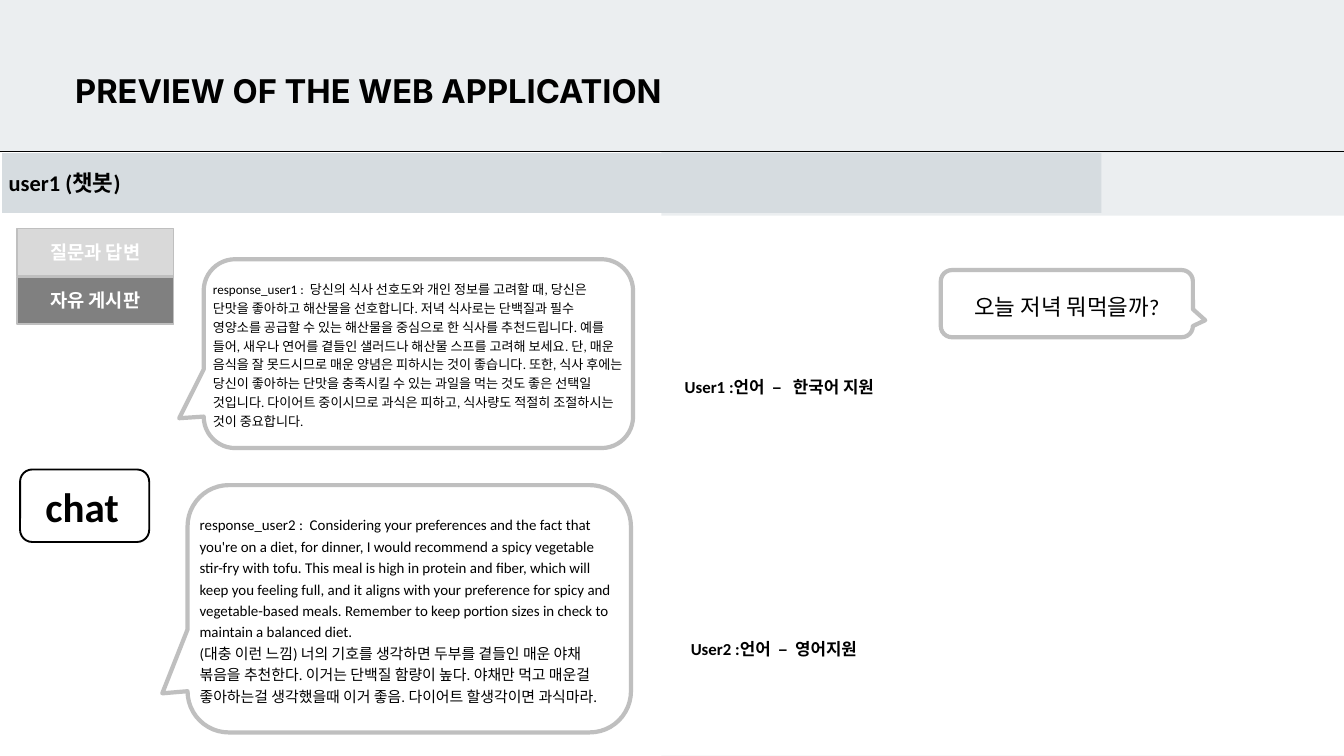
"""Builds the slide that previews the chatbot web application."""
from pptx import Presentation
from pptx.dml.color import RGBColor
from pptx.enum.shapes import MSO_CONNECTOR, MSO_SHAPE
from pptx.enum.text import MSO_ANCHOR, MSO_AUTO_SIZE, PP_ALIGN
from pptx.oxml.ns import qn
from pptx.util import Cm, Pt

BLACK = RGBColor(0x00, 0x00, 0x00)
WHITE = RGBColor(0xFF, 0xFF, 0xFF)
BACKGROUND = RGBColor(0xEB, 0xEE, 0xF0)
BAR = RGBColor(0xD6, 0xDC, 0xE0)
BORDER = RGBColor(0xBF, 0xBF, 0xBF)
LIGHT_GRAY = RGBColor(0xD9, 0xD9, 0xD9)
DARK_GRAY = RGBColor(0x80, 0x80, 0x80)

WIDTH, HEIGHT, HEADER_HEIGHT = 50.8, 28.58, 5.72
TITLE = "PREVIEW OF THE WEB APPLICATION"
TITLE_BOX = (2.84, 2.69, 24.87, 1.5)
PANELS = [(0, HEADER_HEIGHT, 25, 22.86), (7.19, 8.15, 43.61, 20.42)]
USER_BAR = ("user1 (챗봇)", (0.08, 5.79, 41.55, 2.26))
MENU_LEFT, MENU_TOP, MENU_WIDTH, MENU_HEIGHT, MENU_STEP = 0.64, 8.64, 5.92, 1.8, 1.82
MENU = [("질문과 답변", LIGHT_GRAY), ("자유 게시판", DARK_GRAY)]
CHAT_FRAME = (0.76, 17.75, 4.88, 2.74)

CALLOUTS = [
    (["오늘 저녁 뭐먹을까?"], (35.56, 10.21, 9.53, 2.54), (0.549, 0.247), 24, PP_ALIGN.CENTER),
    (["response_user1 :  당신의 식사 선호도와 개인 정보를 고려할 때, 당신은 단맛을 좋아하고 "
      "해산물을 선호합니다. 저녁 식사로는 단백질과 필수 영양소를 공급할 수 있는 해산물을 "
      "중심으로 한 식사를 추천드립니다. 예를 들어, 새우나 연어를 곁들인 샐러드나 해산물 "
      "스프를 고려해 보세요. 단, 매운 음식을 잘 못드시므로 매운 양념은 피하시는 것이 "
      "좋습니다. 또한, 식사 후에는 당신이 좋아하는 단맛을 충족시킬 수 있는 과일을 먹는 "
      "것도 좋은 선택일 것입니다. 다이어트 중이시므로 과식은 피하고, 식사량도 적절히 "
      "조절하시는 것이 중요합니다."],
     (7.7, 9.8, 16.23, 7.14), (-0.557, 0.342), 14, PP_ALIGN.LEFT),
    (["response_user2 :  Considering your preferences and the fact that you're on a diet, "
      "for dinner, I would recommend a spicy vegetable stir-fry with tofu. This meal is high "
      "in protein and fiber, which will keep you feeling full, and it aligns with your "
      "preference for spicy and vegetable-based meals. Remember to keep portion sizes in "
      "check to maintain a balanced diet.",
      "(대충 이런 느낌) 너의 기호를 생각하면 두부를 곁들인 매운 야채 볶음을 추천한다. "
      "이거는 단백질 함량이 높다. 야채만 먹고 매운걸 좋아하는걸 생각했을때 이거 좋음. "
      "다이어트 할생각이면 과식마라."],
     (7.09, 18.34, 16.76, 9.35), (-0.557, 0.342), 16, PP_ALIGN.LEFT),
]
LABELS = [
    ("chat", (1.47, 18.06, 7.21, 2.13), 44, True),
    ("User1 :언어  –   한국어 지원", (25.63, 14.1, 8.59, 1.02), 18, True),
    ("User2 :언어  –  영어지원", (25.86, 24.03, 7.14, 1.02), 18, False),
]


def lengths(box):
    return [Cm(value) for value in box]


def write(shape, texts, size, color=BLACK, bold=False, align=PP_ALIGN.LEFT,
          spacing=None, font="Calibri"):
    frame = shape.text_frame
    frame.word_wrap = True
    frame.text = "\n".join(texts)
    for paragraph in frame.paragraphs:
        paragraph.alignment = align
        paragraph.line_spacing = spacing
        paragraph.font.name = font
        paragraph.font.size = Pt(size)
        paragraph.font.bold = bold
        paragraph.font.color.rgb = color
    return frame


def remove_insets(frame):
    frame.margin_left = frame.margin_top = frame.margin_right = frame.margin_bottom = 0


def add_box(slide, kind, box, fill=None, line=None, line_width=2):
    shape = slide.shapes.add_shape(kind, *lengths(box))
    shape.shadow.inherit = False
    if fill is None:
        shape.fill.background()
    else:
        shape.fill.solid()
        shape.fill.fore_color.rgb = fill
    if line is None:
        shape.line.fill.background()
    else:
        shape.line.color.rgb = line
        shape.line.width = Pt(line_width)
    return shape


def add_title(slide):
    title = slide.shapes.title
    title.left, title.top, title.width, title.height = lengths(TITLE_BOX)
    frame = write(title, [TITLE], 35, bold=True, spacing=Pt(42), font="Inter")
    frame.auto_size = MSO_AUTO_SIZE.NONE
    frame.vertical_anchor = MSO_ANCHOR.TOP
    remove_insets(frame)


def add_header(slide):
    for box in PANELS:
        add_box(slide, MSO_SHAPE.RECTANGLE, box, WHITE)
    text, box = USER_BAR
    bar = add_box(slide, MSO_SHAPE.RECTANGLE, box, BAR)
    write(bar, [text], 24, bold=True).vertical_anchor = MSO_ANCHOR.MIDDLE
    rule = slide.shapes.add_connector(
        MSO_CONNECTOR.STRAIGHT, 0, Cm(HEADER_HEIGHT), Cm(WIDTH), Cm(HEADER_HEIGHT))
    rule.line.color.rgb = BLACK
    rule.line.width = Pt(0.75)
    properties = rule._element.spPr
    properties.append(properties.makeelement(qn("a:effectLst"), {}))


def add_menu(slide):
    for index, (text, fill) in enumerate(MENU):
        box = (MENU_LEFT, MENU_TOP + index * MENU_STEP, MENU_WIDTH, MENU_HEIGHT)
        button = add_box(slide, MSO_SHAPE.RECTANGLE, box, fill, BORDER)
        frame = write(button, [text], 20, WHITE, True, PP_ALIGN.CENTER)
        frame.vertical_anchor = MSO_ANCHOR.MIDDLE


def add_callouts(slide):
    for texts, box, tip, size, align in CALLOUTS:
        callout = add_box(slide, MSO_SHAPE.ROUNDED_RECTANGULAR_CALLOUT, box, WHITE, BORDER, 4.5)
        callout.adjustments[0], callout.adjustments[1] = tip
        frame = write(callout, texts, size, align=align, spacing=1.2)
        frame.vertical_anchor = MSO_ANCHOR.MIDDLE
        remove_insets(frame)


def add_labels(slide):
    for text, box, size, wrap in LABELS:
        label = slide.shapes.add_textbox(*lengths(box))
        frame = write(label, [text], size, bold=True)
        frame.word_wrap = wrap
        frame.auto_size = MSO_AUTO_SIZE.SHAPE_TO_FIT_TEXT
    add_box(slide, MSO_SHAPE.ROUNDED_RECTANGLE, CHAT_FRAME, line=BLACK)


def main():
    presentation = Presentation()
    presentation.slide_width, presentation.slide_height = Cm(WIDTH), Cm(HEIGHT)
    slide = presentation.slides.add_slide(presentation.slide_layouts[5])
    slide.background.fill.solid()
    slide.background.fill.fore_color.rgb = BACKGROUND
    add_title(slide)
    add_header(slide)
    add_menu(slide)
    add_callouts(slide)
    add_labels(slide)
    presentation.save("out.pptx")


if __name__ == "__main__":
    main()
